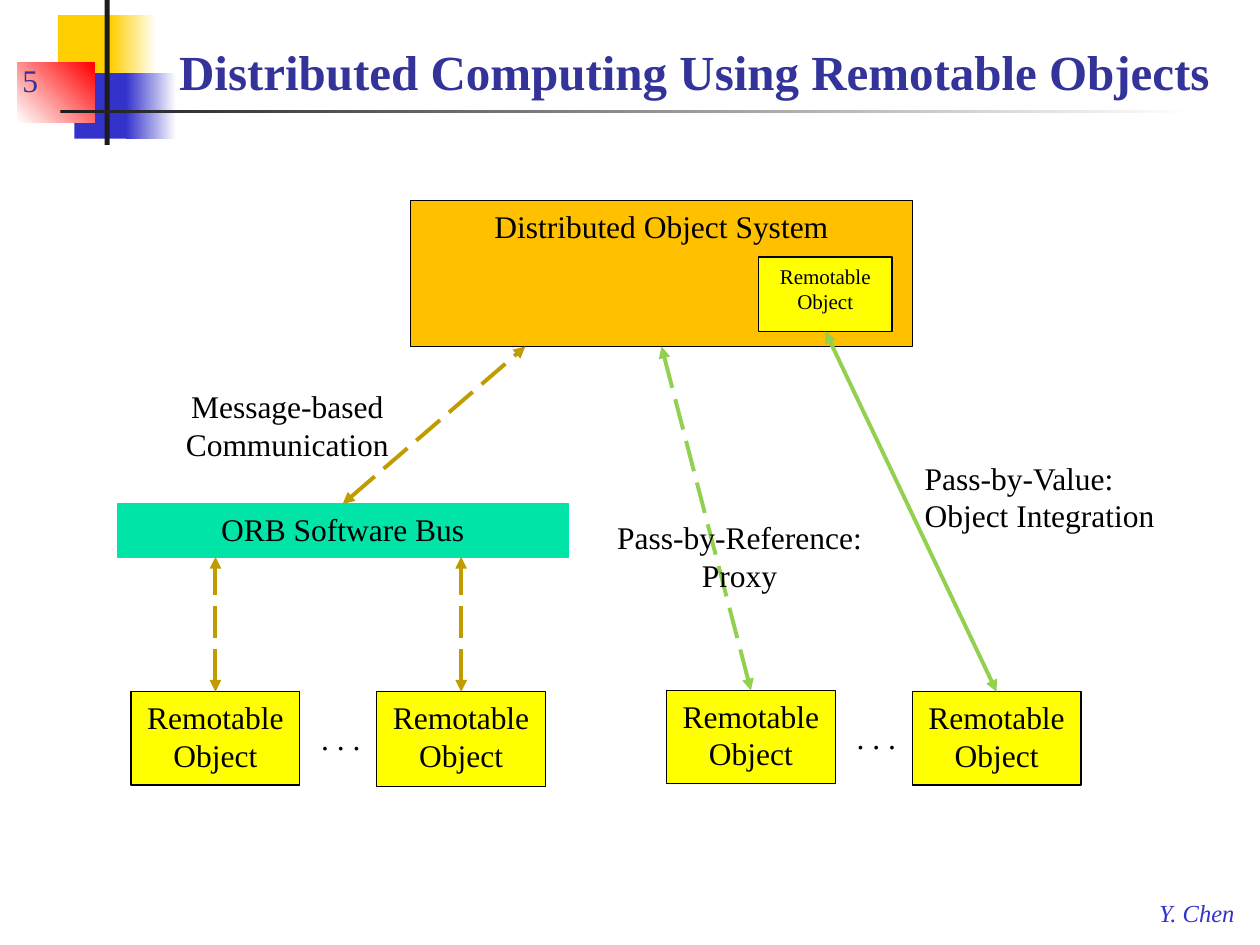
from lxml.etree import SubElement
from pptx import Presentation
from pptx.dml.color import RGBColor
from pptx.enum.dml import MSO_LINE
from pptx.enum.shapes import MSO_CONNECTOR, MSO_SHAPE
from pptx.enum.text import MSO_ANCHOR, MSO_AUTO_SIZE, PP_ALIGN
from pptx.oxml.ns import qn
from pptx.util import Emu, Pt

PX = 9144
FONT = "Times New Roman"
BLACK = RGBColor(0x00, 0x00, 0x00)
WHITE = RGBColor(0xFF, 0xFF, 0xFF)
INK = RGBColor(0x1C, 0x1C, 0x1C)
GOLD = RGBColor(0xFF, 0xCF, 0x01)
BLUE = RGBColor(0x33, 0x33, 0xCC)
NAVY = RGBColor(0x33, 0x33, 0x99)
RED = RGBColor(0xFF, 0x00, 0x00)
YELLOW = RGBColor(0xFF, 0xFF, 0x00)
ORANGE = RGBColor(0xFF, 0xC0, 0x00)
MINT = RGBColor(0x00, 0xE4, 0xA8)
OCHRE = RGBColor(0xC0, 0x9C, 0x00)
GREEN = RGBColor(0x92, 0xD0, 0x50)


def px(*lengths):
    return [Emu(length * PX) for length in lengths]


def write(shape, text, size=18, color=BLACK, align=PP_ALIGN.CENTER,
          anchor=MSO_ANCHOR.TOP, wrap=True, **styles):
    frame = shape.text_frame
    frame_format = {"word_wrap": wrap, "vertical_anchor": anchor,
                    "auto_size": MSO_AUTO_SIZE.NONE}
    for name, value in frame_format.items():
        setattr(frame, name, value)
    paragraph = frame.paragraphs[0]
    paragraph.alignment = align
    run = paragraph.add_run()
    run.text = text
    for name, value in {"name": FONT, "size": Pt(size), **styles}.items():
        setattr(run.font, name, value)
    run.font.color.rgb = color


presentation = Presentation()
presentation.slide_width, presentation.slide_height = px(1000, 750)
slide = presentation.slides.add_slide(presentation.slide_layouts[5])
shapes = slide.shapes

title = shapes.title
title.left, title.top, title.width, title.height = px(110, 17, 882, 68)
write(title, "Distributed Computing Using Remotable Objects", 28, NAVY,
      anchor=MSO_ANCHOR.BOTTOM, bold=True)

decorations = [
    ((46, 12, 48, 52), [GOLD], 0),
    ((88, 12, 36, 52), [GOLD, WHITE], 0),
    ((59, 58, 46, 52), [BLUE], 0),
    ((100, 58, 40, 52), [BLUE, WHITE], 0),
    ((14, 50, 61, 47), [WHITE, RED], 45),
    ((83, 0, 4, 115), [INK], 0),
    ((48, 87, 900, 3), [INK, WHITE], 0),
]
for place, colors, angle in decorations:
    block = shapes.add_shape(MSO_SHAPE.RECTANGLE, *px(*place))
    block.shadow.inherit = False
    block.line.fill.background()
    if len(colors) == 1:
        block.fill.solid()
        block.fill.fore_color.rgb = colors[0]
    else:
        block.fill.gradient()
        block.fill.gradient_angle = angle
        for stop, color in zip(block.fill.gradient_stops, colors):
            stop.color.rgb = color

boxes = {}
box_rows = [
    ("bus object 1", "Remotable Object", (104, 549, 134, 74), YELLOW, BLACK, 18),
    ("bus object 2", "Remotable Object", (299, 549, 134, 75), YELLOW, BLACK, 18),
    ("system", "Distributed Object System", (326, 159, 398, 116), ORANGE, BLACK, 18),
    ("bus", "ORB Software Bus", (93, 400, 358, 42), MINT, MINT, 18),
    ("proxy object", "Remotable Object", (529, 548, 134, 74), YELLOW, BLACK, 18),
    ("value object", "Remotable Object", (724, 549, 134, 74), YELLOW, BLACK, 18),
    ("inner object", "Remotable Object", (602, 204, 106, 59), YELLOW, BLACK, 12),
]
for key, text, place, fill, outline, size in box_rows:
    box = shapes.add_shape(MSO_SHAPE.RECTANGLE, *px(*place))
    box.shadow.inherit = False
    box.fill.solid()
    box.fill.fore_color.rgb = fill
    box.line.color.rgb = outline
    box.line.width = Pt(0.75)
    write(box, text, size)
    boxes[key] = box

TOP, BOTTOM = 0, 2
arrows = [
    ("bus object 1", (171, 549), None, (171, 442), OCHRE, MSO_LINE.LONG_DASH),
    ("bus object 2", (366, 549), None, (366, 442), OCHRE, MSO_LINE.LONG_DASH),
    ("bus", (272, 400), None, (417, 275), OCHRE, MSO_LINE.LONG_DASH),
    ("proxy object", (596, 548), "system", (525, 275), GREEN, MSO_LINE.LONG_DASH),
    ("value object", (791, 549), "inner object", (655, 263), GREEN, MSO_LINE.SOLID),
]
for source, start, target, end, color, dash in arrows:
    arrow = shapes.add_connector(MSO_CONNECTOR.STRAIGHT, *px(*start, *end))
    arrow.begin_connect(boxes[source], TOP)
    if target:
        arrow.end_connect(boxes[target], BOTTOM)
    arrow.line.color.rgb = color
    arrow.line.width = Pt(2.25)
    arrow.line.dash_style = dash
    for tag in ("a:headEnd", "a:tailEnd"):
        SubElement(arrow.line._get_or_add_ln(), qn(tag), type="triangle")
    SubElement(arrow._element.spPr, qn("a:effectLst"))

left = {"align": PP_ALIGN.LEFT}
labels = [
    ("Y. Chen", (910, 708, 82, 33),
     {**left, "size": 14, "color": BLUE, "wrap": False, "italic": True}),
    ("5", (8, 33, 67, 50), {**left, "color": NAVY, "anchor": MSO_ANCHOR.BOTTOM}),
    (". . .", (245, 566, 52, 40), {**left, "wrap": False}),
    (". . .", (670, 565, 52, 40), {**left, "wrap": False}),
    ("Pass-by-Value: Object Integration", (724, 359, 224, 71), left),
    ("Pass-by-Reference: Proxy", (466, 406, 242, 71), {}),
    ("Message-based Communication", (107, 302, 242, 71), {}),
]
for text, place, style in labels:
    write(shapes.add_textbox(*px(*place)), text, **style)

presentation.save("out.pptx")
